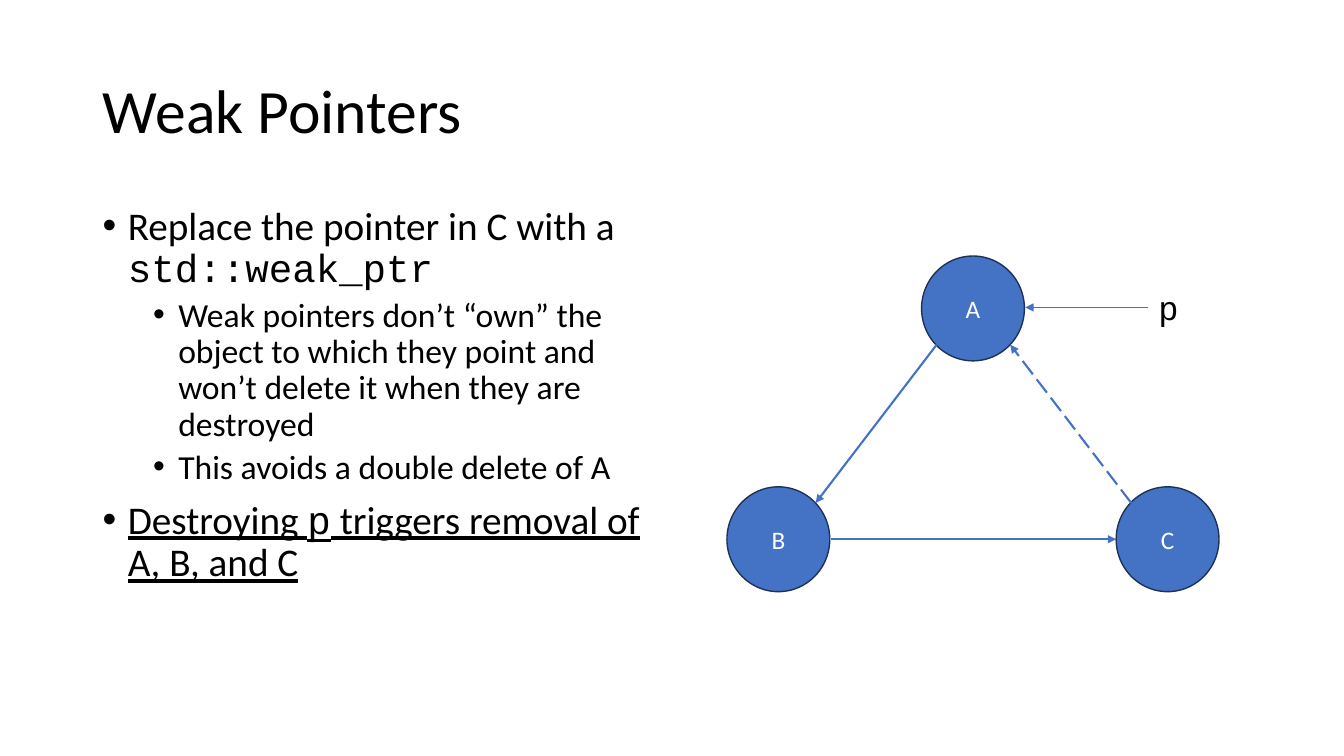
from lxml import etree
from pptx import Presentation
from pptx.dml.color import RGBColor
from pptx.enum import dml, shapes, text
from pptx.oxml import ns
from pptx.util import Inches, Pt

BLACK = RGBColor(0, 0, 0)
WHITE = RGBColor(255, 255, 255)
BLUE = RGBColor(0x44, 0x72, 0xC4)
NAVY = RGBColor(0x1E, 0x32, 0x56)
SANS = "Calibri"
MONO = "Courier New"
NODE_W, NODE_H = 1.02, 1.04


def add_run(p, txt, size, font=SANS, color=BLACK, underline=None):
    r = p.add_run()
    r.text = txt
    r.font.size = Pt(size)
    r.font.name = font
    r.font.color.rgb = color
    r.font.underline = underline


def add_title(s, txt):
    sp = s.shapes.title
    sp.left, sp.top = Inches(0.92), Inches(0.4)
    sp.width, sp.height = Inches(11.5), Inches(1.45)
    tf = sp.text_frame
    tf.vertical_anchor = text.MSO_ANCHOR.MIDDLE
    p = tf.paragraphs[0]
    p.alignment = text.PP_ALIGN.LEFT
    p.line_spacing = 0.9
    add_run(p, txt, 44)


def format_bullet(p, level):
    p.level = level
    p.line_spacing = 0.9
    p.space_before = Pt(5 if level else 10)
    pPr = p._p.get_or_add_pPr()
    pPr.set("marL", str(Inches(0.25 + 0.5 * level)))
    pPr.set("indent", str(-Inches(0.25)))
    etree.SubElement(pPr, ns.qn("a:buFont")).set("typeface", "Arial")
    etree.SubElement(pPr, ns.qn("a:buChar")).set("char", "•")


def add_bullets(s, items):
    tf = s.shapes.add_textbox(Inches(0.92), Inches(2), Inches(5.67), Inches(4.76)).text_frame
    tf.word_wrap = True
    for i, (level, underline, runs) in enumerate(items):
        p = tf.add_paragraph() if i else tf.paragraphs[0]
        format_bullet(p, level)
        for txt, font in runs:
            add_run(p, txt, 24 if level else 28, font=font, underline=underline)


def add_node(s, label, x, y):
    sp = s.shapes.add_shape(shapes.MSO_SHAPE.OVAL, Inches(x), Inches(y), Inches(NODE_W), Inches(NODE_H))
    sp.shadow.inherit = False
    sp.fill.solid()
    sp.fill.fore_color.rgb = BLUE
    sp.line.color.rgb = NAVY
    sp.line.width = Pt(1)
    tf = sp.text_frame
    tf.vertical_anchor = text.MSO_ANCHOR.MIDDLE
    p = tf.paragraphs[0]
    p.alignment = text.PP_ALIGN.CENTER
    add_run(p, label, 18, color=WHITE)


def add_pointer_label(s, txt):
    sp = s.shapes.add_textbox(Inches(11.39), Inches(2.8), Inches(0.39), Inches(0.5))
    tf = sp.text_frame
    tf.word_wrap = False
    tf.auto_size = text.MSO_AUTO_SIZE.SHAPE_TO_FIT_TEXT
    add_run(tf.paragraphs[0], txt, 24, font=MONO)
    return sp


def add_arrow(s, start, end, width=1.5, dash=None):
    cx = s.shapes.add_connector(shapes.MSO_CONNECTOR.STRAIGHT, *map(Inches, start + end))
    cx.line.color.rgb = BLUE
    cx.line.width = Pt(width)
    if dash:
        cx.line.dash_style = dash
    etree.SubElement(cx.line._get_or_add_ln(), ns.qn("a:tailEnd")).set("type", "triangle")
    etree.SubElement(cx._element.spPr, ns.qn("a:effectLst"))
    return cx


def main():
    prs = Presentation()
    prs.slide_width, prs.slide_height = Inches(13.33), Inches(7.5)
    s = prs.slides.add_slide(prs.slide_layouts[5])
    add_title(s, "Weak Pointers")
    add_bullets(s, [
        (0, None, [("Replace the pointer in C with a ", SANS), ("std::weak_ptr", MONO)]),
        (1, None, [("Weak pointers don’t “own” the object to which they point "
                    "and won’t delete it when they are destroyed", SANS)]),
        (1, None, [("This avoids a double delete of A", SANS)]),
        (0, True, [("Destroying ", SANS), ("p", MONO), (" triggers removal of A, B, and C", SANS)]),
    ])
    for label, x, y in (("A", 9.14, 2.54), ("C", 11.07, 4.83), ("B", 7.21, 4.83)):
        add_node(s, label, x, y)
    add_arrow(s, (9.29, 3.42), (8.09, 4.99))
    add_arrow(s, (8.24, 5.35), (11.07, 5.35))
    add_arrow(s, (11.22, 4.99), (10.02, 3.42), dash=dml.MSO_LINE.LONG_DASH)
    label = add_pointer_label(s, "p")
    add_arrow(s, (11.39, 3.05), (10.17, 3.05), width=0.5).begin_connect(label, 1)
    prs.save("out.pptx")


if __name__ == "__main__":
    main()
